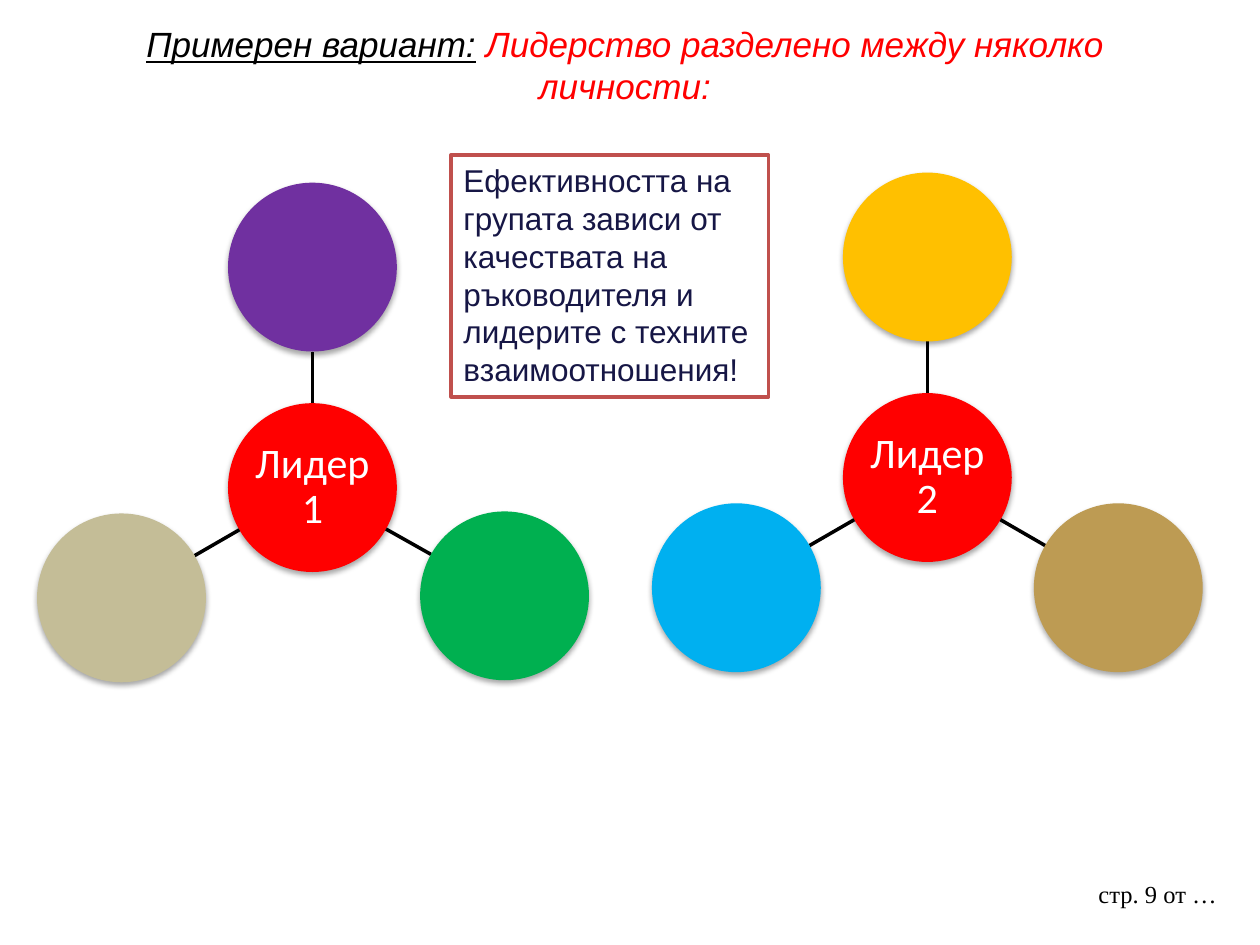
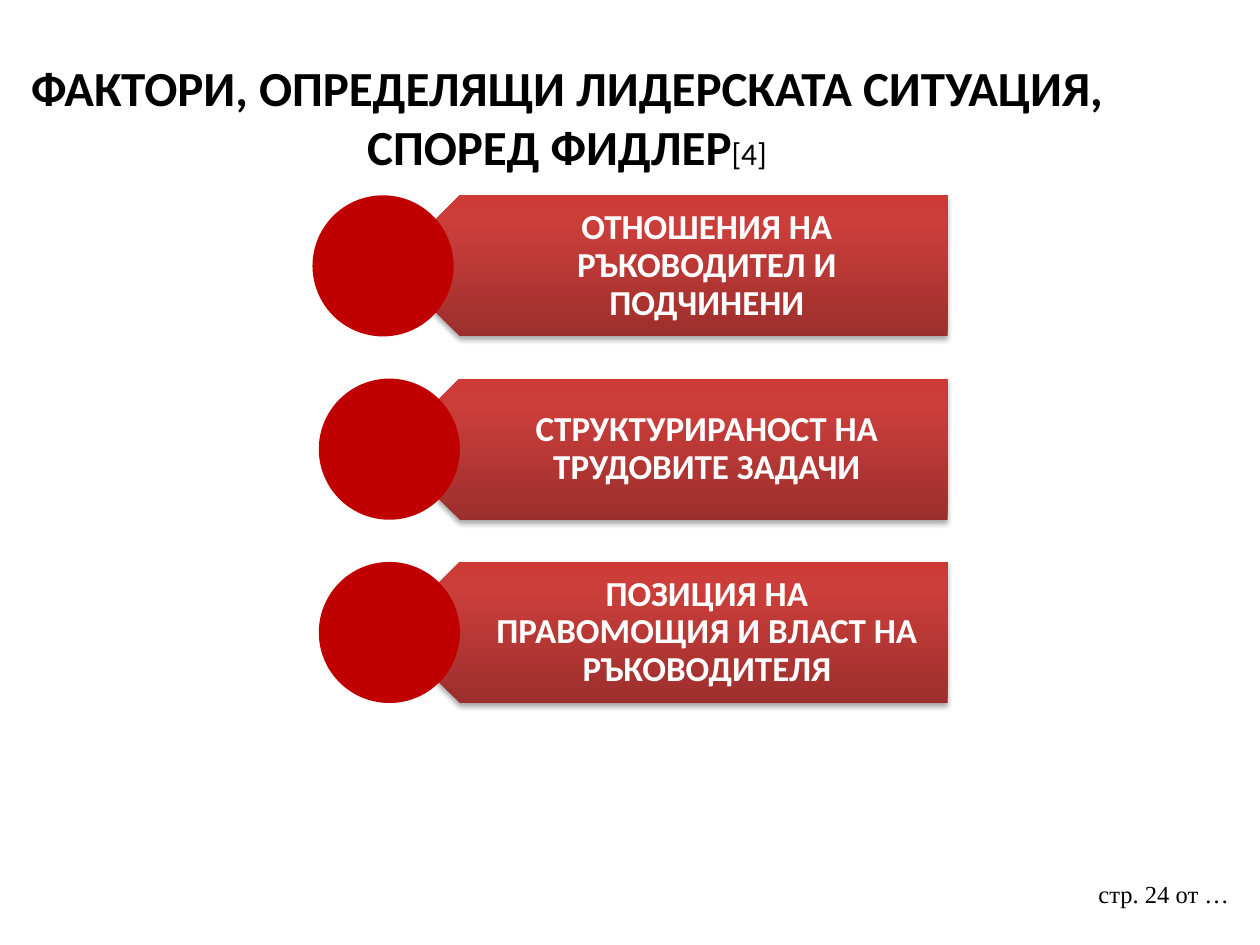
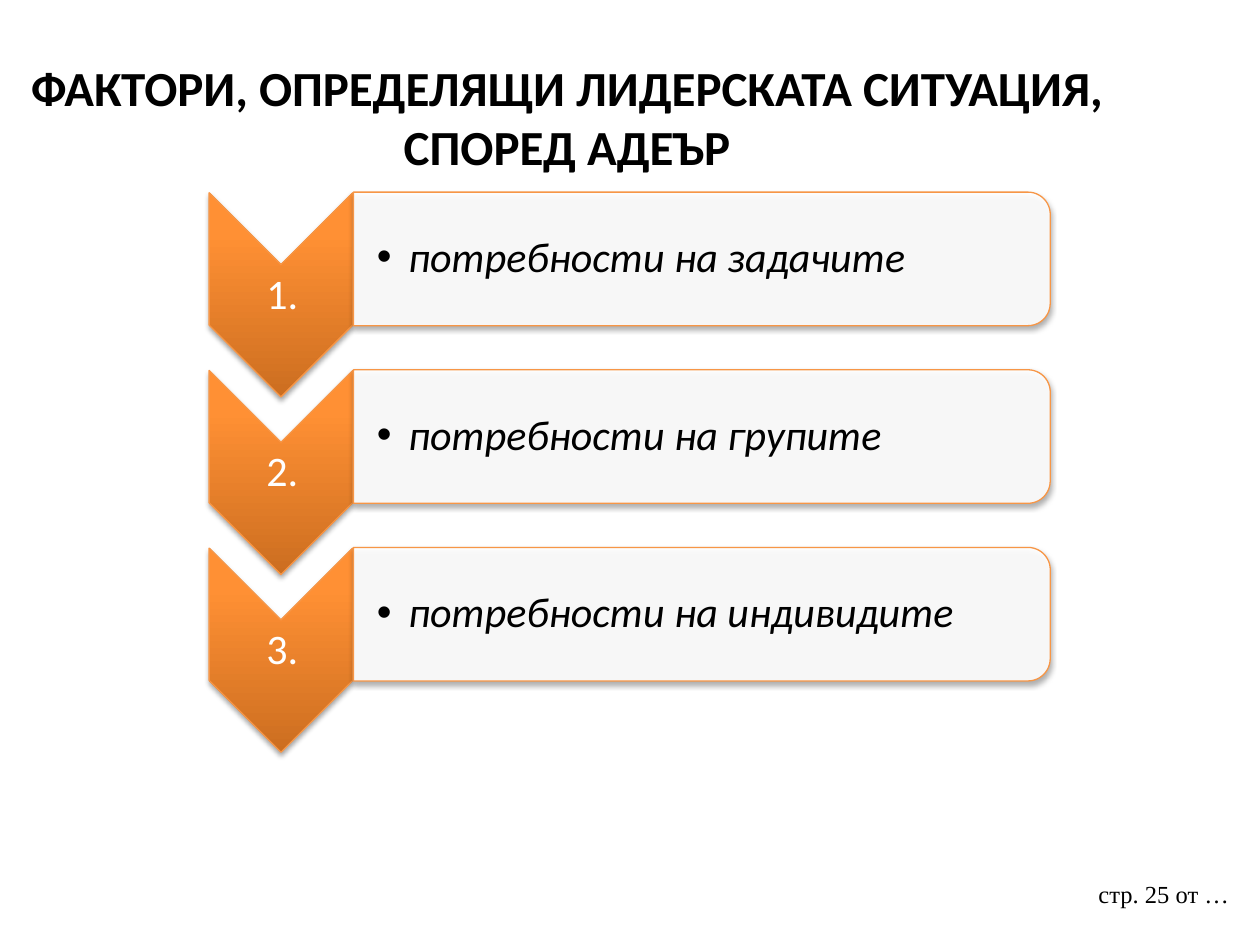
from math import cos, radians, sin

from lxml.etree import SubElement
from pptx import Presentation
from pptx.dml.color import RGBColor
from pptx.enum.shapes import MSO_CONNECTOR, MSO_SHAPE as Preset
from pptx.enum.text import MSO_ANCHOR as Anchor, MSO_AUTO_SIZE, PP_ALIGN as Align
from pptx.oxml import parse_xml
from pptx.oxml.ns import nsdecls, qn
from pptx.util import Inches, Pt

BLACK = RGBColor(0x00, 0x00, 0x00)
WHITE = RGBColor(0xFF, 0xFF, 0xFF)
RED = RGBColor(0xFF, 0x00, 0x00)
DARK_RED = RGBColor(0xC0, 0x00, 0x00)
BRICK = RGBColor(0xC0, 0x50, 0x4D)
NAVY = RGBColor(0x16, 0x16, 0x45)
ORANGE = RGBColor(0xF7, 0x96, 0x46)
PURPLE = RGBColor(0x70, 0x30, 0xA0)
GREEN = RGBColor(0x00, 0xB0, 0x50)
SAND = RGBColor(0xC4, 0xBD, 0x97)
GOLD = RGBColor(0xFF, 0xC0, 0x00)
BRONZE = RGBColor(0xBD, 0x9B, 0x53)
SKY = RGBColor(0x00, 0xB0, 0xF0)
# Gradients run from the bottom edge to the top, with stops at 0, 80 and 100 %
RED_GRADIENT = [RGBColor(0x9C, 0x2F, 0x2D), RGBColor(0xCB, 0x3E, 0x3A), RGBColor(0xCE, 0x3B, 0x37)]
ORANGE_GRADIENT = [RGBColor(0xCC, 0x6E, 0x20), RGBColor(0xFF, 0x90, 0x34), RGBColor(0xFF, 0x91, 0x36)]


def write(shape, text, size=24, font="Calibri", color=BLACK, bold=False, italic=False,
          underline=False, align=Align.LEFT, anchor=Anchor.TOP, insets=None,
          spacing=None, bullet=False):
    """Append a formatted run to the first paragraph of a shape."""
    frame = shape.text_frame
    frame.word_wrap = True
    frame.auto_size = MSO_AUTO_SIZE.NONE
    frame.vertical_anchor = anchor
    if insets:
        (frame.margin_left, frame.margin_top,
         frame.margin_right, frame.margin_bottom) = map(Inches, insets)
    paragraph = frame.paragraphs[0]
    paragraph.alignment = align
    if spacing:
        paragraph.line_spacing = spacing
    if bullet:
        properties = paragraph._p.get_or_add_pPr()
        properties.set("marL", str(Inches(0.25)))
        properties.set("indent", str(-Inches(0.25)))
        SubElement(properties, qn("a:buFont"), typeface="Arial")
        SubElement(properties, qn("a:buChar"), char="•")
    run = paragraph.add_run()
    run.text = text
    run.font.size, run.font.name = Pt(size), font
    run.font.bold, run.font.italic, run.font.underline = bold, italic, underline
    run.font.color.rgb = color


def add_figure(slide, preset, box, fill, line=None, line_width=0.75, rotation=0,
               alpha=None, shadow=True):
    """Add a preset shape with a solid or gradient fill and a soft shadow."""
    figure = slide.shapes.add_shape(preset, *map(Inches, box))
    figure.rotation = rotation
    properties = figure._element.spPr
    if isinstance(fill, list):
        stops = "".join(f'<a:gs pos="{pos}000"><a:srgbClr val="{color}"/></a:gs>'
                        for pos, color in zip((0, 80, 100), fill))
        properties.insert(2, parse_xml(
            f'<a:gradFill {nsdecls("a")} rotWithShape="0"><a:gsLst>{stops}</a:gsLst>'
            '<a:lin ang="16200000" scaled="0"/></a:gradFill>'))
    else:
        figure.fill.solid()
        figure.fill.fore_color.rgb = fill
        if alpha:
            SubElement(properties.find(".//" + qn("a:srgbClr")), qn("a:alpha"), val=f"{alpha}000")
    if line is None:
        figure.line.fill.background()
    else:
        figure.line.color.rgb = line
        figure.line.width = Pt(line_width)
    figure.shadow.inherit = False
    if shadow:
        properties.find(qn("a:effectLst")).append(parse_xml(
            f'<a:outerShdw {nsdecls("a")} blurRad="{Pt(3.1)}" dist="{Pt(1.8)}" dir="5400000" '
            'rotWithShape="0"><a:srgbClr val="000000"><a:alpha val="35000"/></a:srgbClr>'
            '</a:outerShdw>'))
    return figure


deck = Presentation()
deck.slide_width, deck.slide_height = Inches(10), Inches(7.5)

slides = []
for page, title_box in ((9, (0.59, 0.13, 8.74, 0.77)),
                        (24, (0, 0.3, 9, 1.25)),
                        (25, (0, 0.3, 9, 1.25))):
    slide = deck.slides.add_slide(deck.slide_layouts[5])
    title = slide.shapes.title
    title.left, title.top, title.width, title.height = map(Inches, title_box)
    page_label = slide.shapes.add_textbox(*map(Inches, (8.62, 6.93, 1.3, 0.52)))
    write(page_label, f"стр. {page} от …", size=14, font="Times New Roman")
    slides.append(slide)
shared_leadership, fiedler, adair = slides

# Leadership shared between several people
heading = dict(size=20, font="Arial", italic=True, align=Align.CENTER)
write(shared_leadership.shapes.title, "Примерен вариант:", underline=True, **heading)
write(shared_leadership.shapes.title, " ", **heading)
write(shared_leadership.shapes.title, "Лидерство разделено между няколко личности:",
      color=RED, **heading)

RADIUS, REACH = 0.67, 1.75
groups = (
    ("Лидер 1", 2.48, 3.87, ((-90, PURPLE), (29.4, GREEN), (150, SAND))),
    ("Лидер 2", 7.36, 3.79, ((-90, GOLD), (30, BRONZE), (150, SKY))),
)
for leader_name, x, y, followers in groups:
    leader = add_figure(shared_leadership, Preset.OVAL,
                        (x - RADIUS, y - RADIUS, 2 * RADIUS, 2 * RADIUS), RED)
    write(leader, leader_name, color=WHITE, align=Align.CENTER, anchor=Anchor.MIDDLE,
          insets=(0.02,) * 4, spacing=0.9)
    for angle, color in followers:
        dx, dy = cos(radians(angle)), sin(radians(angle))
        ends = [Inches(center + distance * step)
                for distance in (RADIUS, REACH - RADIUS)
                for center, step in ((x, dx), (y, dy))]
        spoke = shared_leadership.shapes.add_connector(MSO_CONNECTOR.STRAIGHT, *ends)
        spoke.line.color.rgb = BLACK
        spoke.line.width = Pt(2)
        SubElement(spoke._element.spPr, qn("a:effectLst"))
        add_figure(shared_leadership, Preset.OVAL,
                   (x + REACH * dx - RADIUS, y + REACH * dy - RADIUS, 2 * RADIUS, 2 * RADIUS),
                   color)

conclusion = add_figure(shared_leadership, Preset.RECTANGLE, (3.58, 1.23, 2.52, 1.92), WHITE,
                        line=BRICK, line_width=2, shadow=False)
write(conclusion, "Ефективността на групата зависи от качествата на ръководителя "
      "и лидерите с техните взаимоотношения!", size=18, font="Arial", color=NAVY)

# Titles of the two theories
heading = dict(align=Align.CENTER, anchor=Anchor.MIDDLE)
for slide, author in ((fiedler, "ФИДЛЕР"), (adair, "АДЕЪР")):
    write(slide.shapes.title, f"ФАКТОРИ, ОПРЕДЕЛЯЩИ ЛИДЕРСКАТА СИТУАЦИЯ, СПОРЕД {author}",
          size=28, bold=True, **heading)
write(fiedler.shapes.title, "[4]", size=18, **heading)

# Fiedler's factors
factors = (
    ("ОТНОШЕНИЯ НА РЪКОВОДИТЕЛ И ПОДЧИНЕНИ", 2.48),
    ("СТРУКТУРИРАНОСТ НА ТРУДОВИТЕ ЗАДАЧИ", 2.53),
    ("ПОЗИЦИЯ НА ПРАВОМОЩИЯ И ВЛАСТ НА РЪКОВОДИТЕЛЯ", 2.53),
)
for row, (factor, disc_left) in enumerate(factors):
    top = 1.55 + 1.455 * row
    add_figure(fiedler, Preset.PENTAGON, (3.09, top, 4.43, 1.12), RED_GRADIENT, rotation=180)
    label = fiedler.shapes.add_textbox(*map(Inches, (3.37, top, 4.15, 1.12)))
    write(label, factor, size=20, color=WHITE, bold=True, align=Align.CENTER,
          anchor=Anchor.MIDDLE, insets=(0.49, 0.08, 0.16, 0.08), spacing=0.9)
    add_figure(fiedler, Preset.OVAL, (disc_left, top, 1.12, 1.12), DARK_RED, shadow=False)

# Adair's needs
needs = ("потребности на задачите", "потребности на групите", "потребности на индивидите")
for row, need in enumerate(needs):
    drop = 1.41 * row
    add_figure(adair, Preset.CHEVRON, (1.42, 1.77 + drop, 1.62, 1.14), ORANGE_GRADIENT,
               line=ORANGE, rotation=90)
    number = adair.shapes.add_textbox(*map(Inches, (1.67, 2.1 + drop, 1.14, 0.49)))
    write(number, f"{row + 1}.", color=WHITE, align=Align.CENTER, anchor=Anchor.MIDDLE,
          insets=(0.02,) * 4, spacing=0.9)
    add_figure(adair, Preset.ROUND_2_SAME_RECTANGLE, (5.04, -0.71 + drop, 1.06, 5.53), WHITE,
               line=ORANGE, rotation=90, alpha=90)
    card = adair.shapes.add_textbox(*map(Inches, (2.8, 1.58 + drop, 5.48, 0.95)))
    write(card, need, italic=True, anchor=Anchor.MIDDLE, insets=(0.19, 0.02, 0.02, 0.02),
          spacing=0.9, bullet=True)

deck.save("out.pptx")
